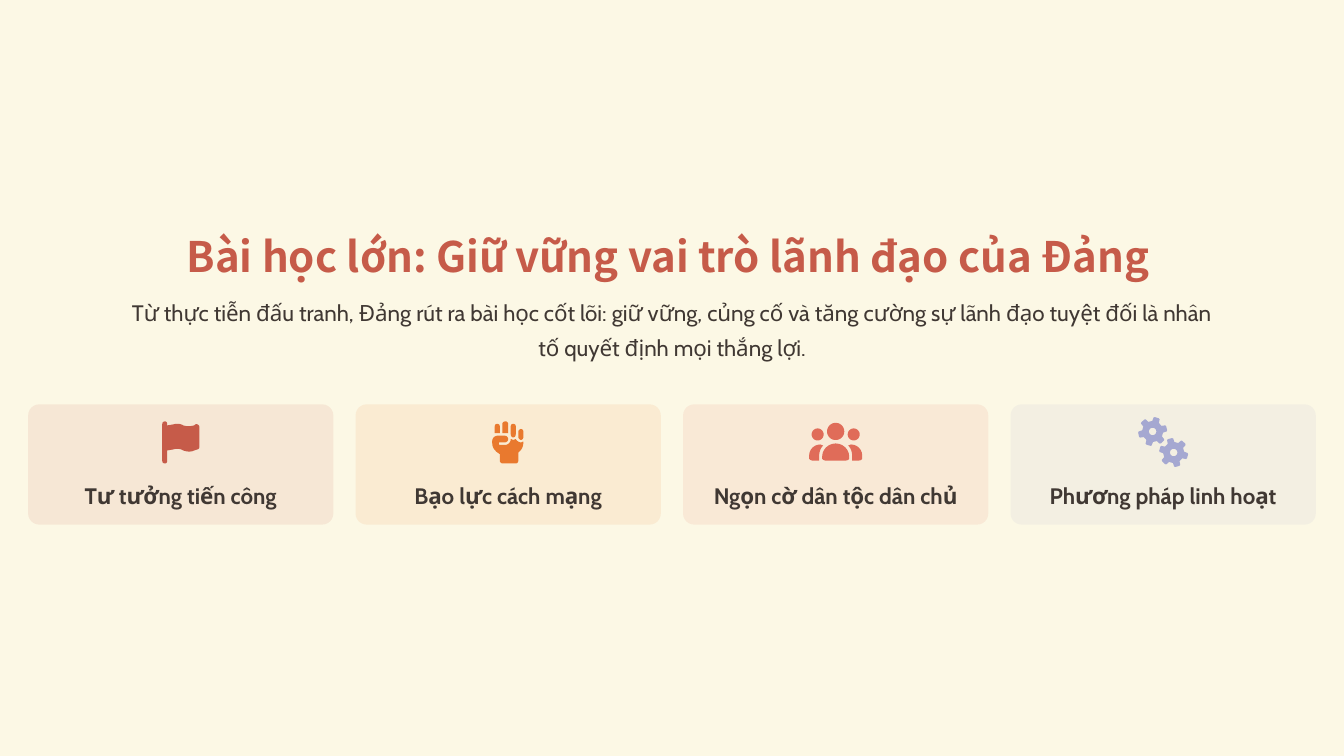
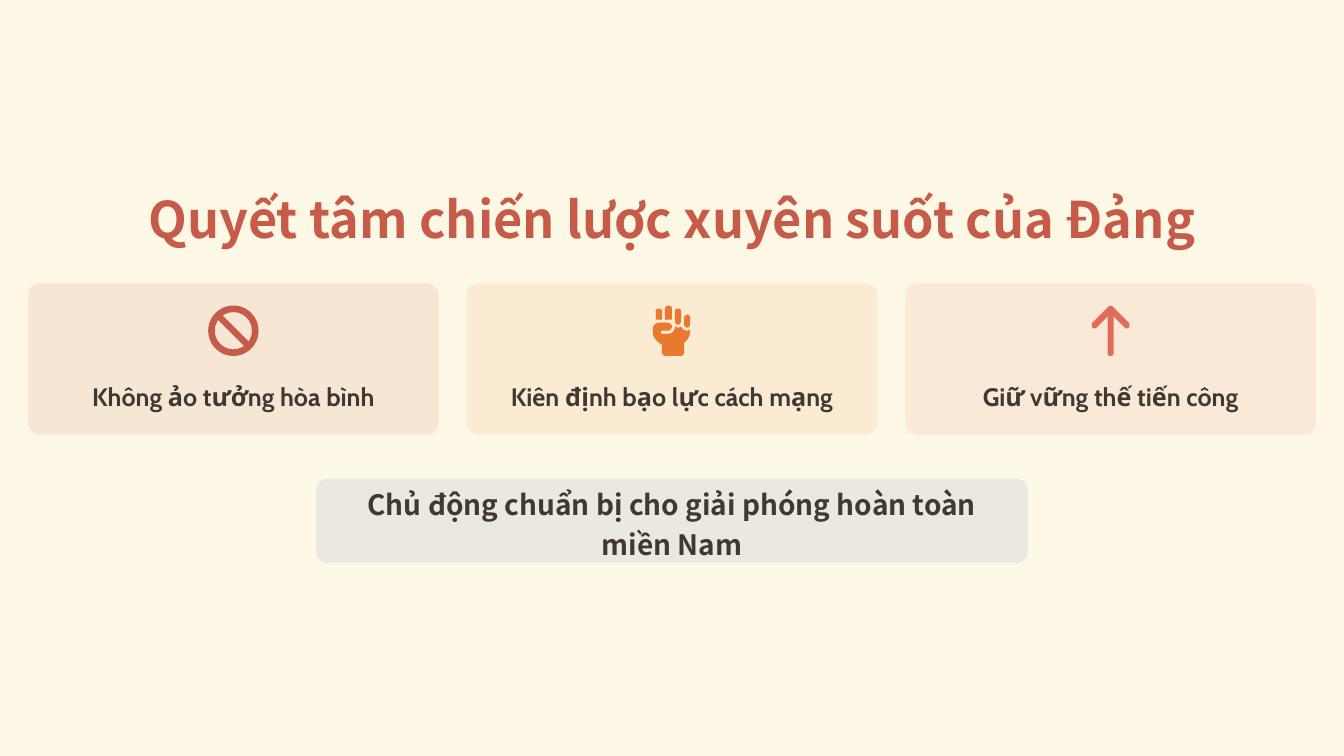
import math

from lxml import etree
from pptx import Presentation
from pptx.dml.color import RGBColor
from pptx.enum import shapes, text
from pptx.oxml import ns
from pptx.util import Cm, Pt

COLORS = {
    "cream": "FCF8E5",
    "ink": "403833",
    "red": "C65B49",
    "orange": "E9792E",
    "coral": "E06C59",
    "lilac": "A5A8D1",
}
HEADING_FONT = "Noto Sans CJK SC"
BODY_FONT = "Cabin"
SLIDE_WIDTH, SLIDE_HEIGHT = 33.87, 19.05
MARGIN = 0.71
CORNER = 0.28


# Icon outlines: contours on a small grid, curves flattened into points
def curve(start, first, second, end, steps=6):
    points = []
    for step in range(1, steps + 1):
        t = step / steps
        weights = ((1 - t) ** 3, 3 * t * (1 - t) ** 2, 3 * t * t * (1 - t), t ** 3)
        points.append(tuple(
            sum(weight * point[axis] for weight, point in zip(weights, (start, first, second, end)))
            for axis in (0, 1)))
    return points


def outline(commands):
    """Turn M, L and C commands into one closed contour per M."""
    contours = []
    tokens = iter(commands.split())

    def next_point():
        return float(next(tokens)), float(next(tokens))

    for command in tokens:
        if command == "M":
            contours.append([next_point()])
        elif command == "L":
            contours[-1].append(next_point())
        else:
            contour = contours[-1]
            contour += curve(contour[-1], next_point(), next_point(), next_point())
    return contours


def polar(center, radius, degrees):
    angle = math.radians(degrees)
    return center[0] + radius * math.cos(angle), center[1] + radius * math.sin(angle)


def circle(center, radius):
    return [polar(center, radius, degrees) for degrees in range(0, 360, 12)]


def gear(center, tooth_angle):
    rim = [polar(center, radius, tooth_angle + 60 * tooth + offset)
           for tooth in range(6)
           for radius, offset in ((10.5, -19), (14, -13), (14.5, -8), (14.5, 8), (14, 13), (10.5, 19))]
    return [rim, circle(center, 3.7)]


FLAG = """M 5 3 C 5 1 4 0 3 0 C 1 0 0 1 0 3 L 0 39 C 0 41 1 42 3 42 C 4 42 5 41 5 39
L 5 29 L 11 28 C 14 27 18 27 21 29 C 24 30 28 31 32 29 L 35 28 C 36 28 37 27 37 26
L 37 5 C 37 4 35 2 33 3 L 32 4 C 28 5 24 5 21 4 C 18 2 14 2 11 3 L 5 4"""
FIST = """M 16 0 C 17 0 19 1 19 3 L 19 14 L 12 14 L 12 3 C 12 1 14 0 16 0
M 3 6 C 3 4 4 3 6 3 C 8 3 9 4 9 6 L 9 14 L 3 14
M 22 6 C 22 4 23 3 25 3 C 27 3 28 4 28 6 L 28 15 C 28 17 27 19 25 19 C 23 19 22 17 22 15
M 31 12 C 31 11 33 9 34 9 C 36 9 37 11 37 12 L 37 19 C 37 20 36 22 34 22 C 33 22 31 20 31 19
M 22 21 C 23 21 24 22 25 22 C 26 22 27 21 28 21 C 29 23 32 25 34 25 C 35 25 36 24 37 24
L 37 25 C 37 30 35 34 31 37 L 31 47 C 31 48 30 50 28 50 L 12 50 C 11 50 9 48 9 47
L 9 39 C 8 38 6 37 5 36 L 4 35 C 1 32 0 29 0 26 L 0 23 C 0 20 3 17 6 17 L 15 17
C 17 17 19 19 19 21 C 19 23 17 25 15 25 L 9 25 C 8 25 8 25 8 26 C 8 27 8 28 9 28
L 15 28 C 19 28 22 25 22 21"""
SHOULDERS = """M 0 34 C 0 28 5 23 11 23 C 12 23 13 24 14 24 C 11 27 10 31 10 35 L 10 39
L 3 39 C 2 39 0 38 0 37
M 13 35 C 13 28 19 22 26.5 22 C 34 22 40 28 40 35 L 40 37 C 40 38 38 39 37 39
L 16 39 C 15 39 13 38 13 37
M 53 34 C 53 28 48 23 42 23 C 41 23 40 24 39 24 C 42 27 43 31 43 35 L 43 39
L 50 39 C 51 39 53 38 53 37"""
ARROW = """M 21 1 C 20 0 18 0 17 1 L 1 17 C 0 18 0 20 1 22 C 2 23 4 23 5 22 L 16 11
L 16 47 C 16 49 17 50 19 50 C 21 50 22 49 22 47 L 22 11 L 33 22 C 34 23 36 23 37 22
C 38 20 38 18 37 17"""

# name: (grid width, grid height, contours)
ICONS = {
    "flag": (37, 42, outline(FLAG)),
    "fist": (38, 50, outline(FIST)),
    "people": (53, 42, outline(SHOULDERS) + [
        circle((26.5, 10), 8.6), circle((8.5, 13), 6), circle((44.5, 13), 6)]),
    "gears": (53, 42, gear((16, 10), -73) + gear((37, 31), -105)),
    "arrow": (38, 50, outline(ARROW)),
}


# Shared helpers
def paint(shape, color, opacity=100):
    shape.shadow.inherit = False
    shape.fill.solid()
    shape.fill.fore_color.rgb = RGBColor.from_string(COLORS[color])
    shape.line.fill.background()
    if opacity < 100:
        color_element = shape.element.spPr.find(ns.qn("a:solidFill"))[0]
        etree.SubElement(color_element, ns.qn("a:alpha"), val=str(opacity * 1000))


def write(shape, words, size, font=BODY_FONT, color="ink", bold=True,
          align=text.PP_ALIGN.CENTER, spacing=1.3, side_inset=0):
    frame = shape.text_frame
    frame.text = words
    frame.word_wrap = True
    frame.auto_size = text.MSO_AUTO_SIZE.NONE
    frame.vertical_anchor = text.MSO_ANCHOR.MIDDLE
    frame.margin_left = frame.margin_right = Cm(side_inset)
    frame.margin_top = frame.margin_bottom = 0
    paragraph = frame.paragraphs[0]
    paragraph.alignment = align
    paragraph.line_spacing = spacing
    for run in paragraph.runs:
        run.font.name = font
        run.font.size = Pt(size)
        run.font.bold = bold
        run.font.color.rgb = RGBColor.from_string(COLORS[color])


def add_text(slide, box, words, size, **style):
    write(slide.shapes.add_textbox(*map(Cm, box)), words, size, **style)


def add_panel(slide, box, color, opacity):
    panel = slide.shapes.add_shape(shapes.MSO_SHAPE.ROUNDED_RECTANGLE, *map(Cm, box))
    panel.adjustments[0] = CORNER / min(box[2:])
    paint(panel, color, opacity)
    return panel


def add_title_slide(presentation, words, box, size, **style):
    slide = presentation.slides.add_slide(presentation.slide_layouts[5])
    title = slide.shapes.title
    title.left, title.top, title.width, title.height = map(Cm, box)
    write(title, words, size, font=HEADING_FONT, color="red", **style)
    return slide


# Icon, centred on center_x and hanging from top
def add_icon(slide, name, center_x, top, height, color):
    if name == "ban":
        icon = slide.shapes.add_shape(shapes.MSO_SHAPE.NO_SYMBOL, Cm(center_x - height / 2),
                                      Cm(top), Cm(height), Cm(height))
        icon.adjustments[0] = 0.13
    else:
        grid_width, grid_height, contours = ICONS[name]
        scale = height / grid_height
        left = center_x - grid_width * scale / 2
        placed = [[(Cm(left + x * scale), Cm(top + y * scale)) for x, y in contour]
                  for contour in contours]
        builder = slide.shapes.build_freeform(*placed[0][0])
        for index, contour in enumerate(placed):
            if index:
                builder.move_to(*contour[0])
            builder.add_line_segments(contour[1:], close=True)
        icon = builder.convert_to_shape()
    paint(icon, color)


# Card: tinted panel, icon and label
def add_card(slide, box, card, layout):
    left, top, width, _ = box
    icon, color, label = card
    add_panel(slide, box, color, 10)
    add_icon(slide, icon, left + width / 2, top + layout["icon_top"], layout["icon_height"], color)
    add_text(slide, (left + 0.2, top + layout["label_top"], width - 0.4, layout["label_height"]),
             label, layout["label_size"])


def add_card_row(slide, top, height, gap, cards, layout):
    width = (SLIDE_WIDTH - 2 * MARGIN - gap * (len(cards) - 1)) / len(cards)
    for index, card in enumerate(cards):
        add_card(slide, (MARGIN + index * (width + gap), top, width, height), card, layout)


def build_lesson_slide(presentation):
    slide = add_title_slide(
        presentation, "Bài học lớn: Giữ vững vai trò lãnh đạo của Đảng",
        (4.7, 5.82, 24.97, 1.27), 30, align=text.PP_ALIGN.LEFT, spacing=1.0)
    add_text(slide, (3.25, 7.37, 27.38, 1.7),
             "Từ thực tiễn đấu tranh, Đảng rút ra bài học cốt lõi: giữ vững, củng cố và tăng "
             "cường sự lãnh đạo tuyệt đối là nhân tố quyết định mọi thắng lợi.", 16, bold=False)
    cards = [
        ("flag", "red", "Tư tưởng tiến công"),
        ("fist", "orange", "Bạo lực cách mạng"),
        ("people", "coral", "Ngọn cờ dân tộc dân chủ"),
        ("gears", "lilac", "Phương pháp linh hoạt"),
    ]
    layout = {"icon_top": 0.43, "icon_height": 1.06,
              "label_top": 1.78, "label_height": 0.84, "label_size": 16}
    add_card_row(slide, 10.19, 3.03, 0.56, cards, layout)


def build_resolve_slide(presentation):
    slide = add_title_slide(
        presentation, "Quyết tâm chiến lược xuyên suốt của Đảng",
        (3.5, 4.88, 26.87, 1.42), 36, spacing=0.9)
    cards = [
        ("ban", "red", "Không ảo tưởng hòa bình"),
        ("fist", "orange", "Kiên định bạo lực cách mạng"),
        ("arrow", "coral", "Giữ vững thế tiến công"),
    ]
    layout = {"icon_top": 0.56, "icon_height": 1.27,
              "label_top": 2.24, "label_height": 0.99, "label_size": 18}
    add_card_row(slide, 7.14, 3.81, 0.71, cards, layout)

    # Closing banner
    banner = add_panel(slide, (7.97, 12.07, 17.93, 2.11), "lilac", 20)
    write(banner, "Chủ động chuẩn bị cho giải phóng hoàn toàn miền Nam", 20,
          font=HEADING_FONT, spacing=1.2, side_inset=0.32)


def main():
    presentation = Presentation()
    presentation.slide_width, presentation.slide_height = Cm(SLIDE_WIDTH), Cm(SLIDE_HEIGHT)
    background = presentation.slide_master.background.fill
    background.solid()
    background.fore_color.rgb = RGBColor.from_string(COLORS["cream"])
    build_lesson_slide(presentation)
    build_resolve_slide(presentation)
    presentation.save("out.pptx")


if __name__ == "__main__":
    main()
